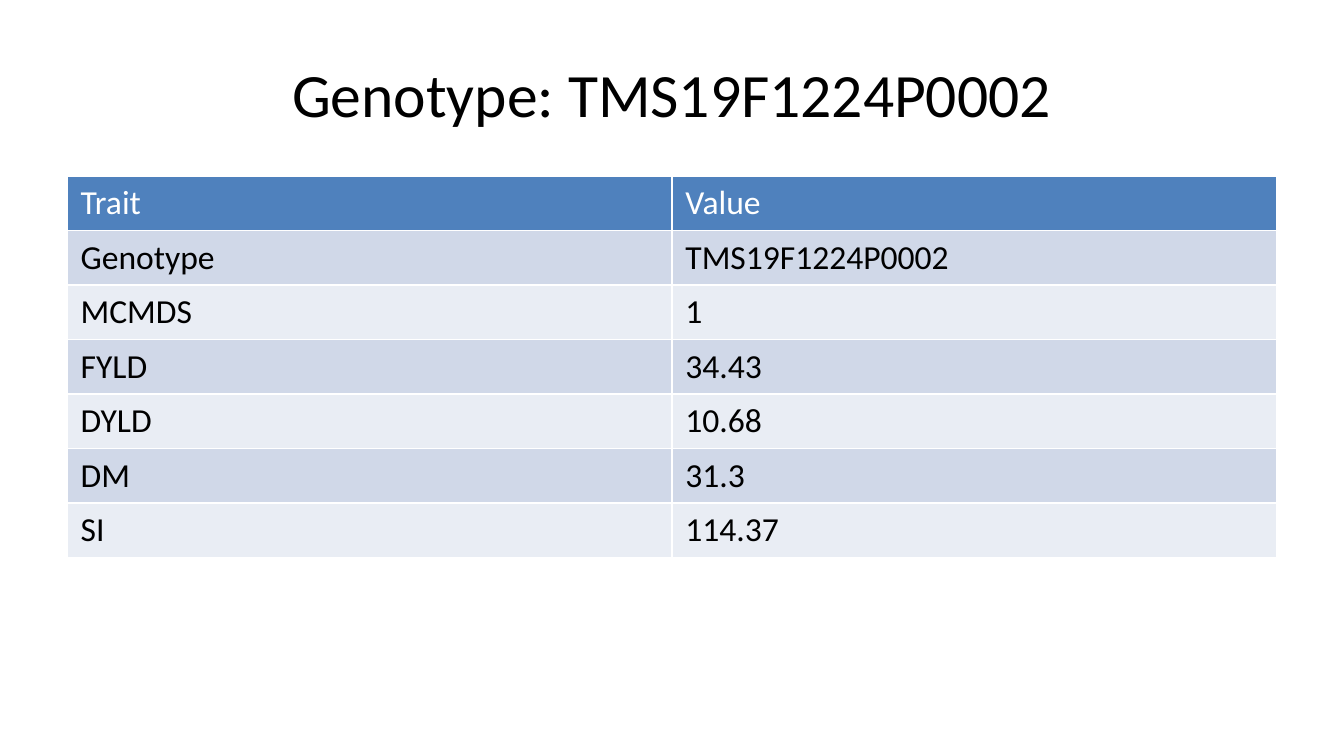
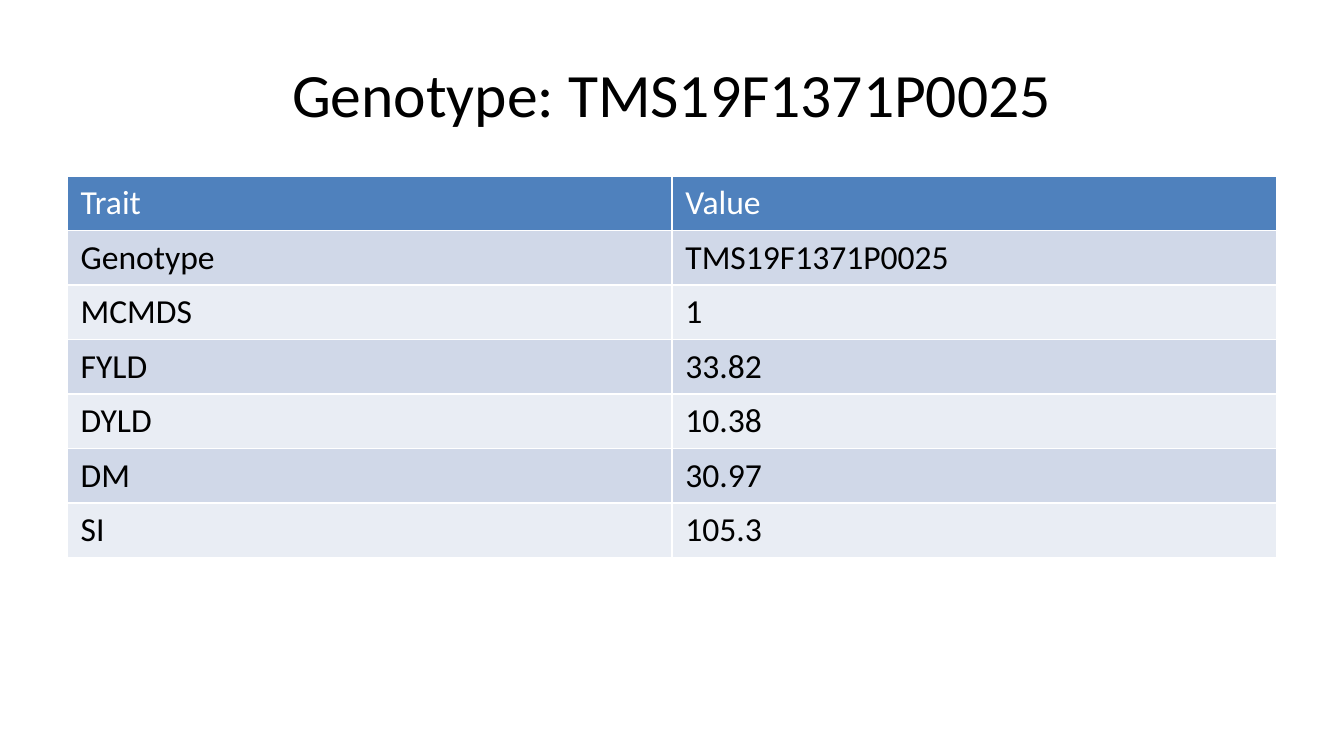
from pptx import Presentation
from pptx.dml.color import RGBColor
from pptx.enum.text import MSO_ANCHOR, PP_ALIGN
from pptx.util import Cm, Pt

# Content
HEADINGS = ("Trait", "Value")
TRAITS = ("MCMDS", "FYLD", "DYLD", "DM", "SI")
GENOTYPES = {
    "TMS19F1224P0002": ("1", "34.43", "10.68", "31.3", "114.37"),
    "TMS19F1371P0025": ("1", "33.82", "10.38", "30.97", "105.3"),
}

# Shared look
COLOURS = {
    "page": "FFFFFF",
    "ink": "000000",
    "header": "4F81BD",
    "header_ink": "FFFFFF",
    "odd_row": "D0D8E8",
    "even_row": "E9EDF4",
}
TITLE_FONT = {"name": "Calibri", "size": Pt(33), "bold": False}
CELL_FONT = {"name": "Calibri", "size": Pt(18), "bold": False}

# Layout
PAGE_WIDTH, PAGE_HEIGHT = Cm(25.4), Cm(14.29)
MARGIN = Cm(1.27)
CONTENT_WIDTH = PAGE_WIDTH - 2 * MARGIN
TITLE_TOP, TITLE_HEIGHT = Cm(0.57), Cm(2.38)
TABLE_TOP, ROW_HEIGHT = Cm(3.33), Cm(1.03)


def colour(key):
    return RGBColor.from_string(COLOURS[key])


def style_font(paragraph, font_format, ink):
    for attribute, value in font_format.items():
        setattr(paragraph.font, attribute, value)
    paragraph.font.color.rgb = colour(ink)


def add_title(slide, genotype):
    title = slide.shapes.add_textbox(MARGIN, TITLE_TOP, CONTENT_WIDTH, TITLE_HEIGHT)
    frame = title.text_frame
    frame.word_wrap = True
    frame.vertical_anchor = MSO_ANCHOR.MIDDLE
    heading = frame.paragraphs[0]
    heading.text = f"Genotype: {genotype}"
    heading.alignment = PP_ALIGN.CENTER
    style_font(heading, TITLE_FONT, "ink")


def add_trait_table(slide, genotype, values):
    rows = [HEADINGS, ("Genotype", genotype), *zip(TRAITS, values)]
    # The default table style supplies the white cell borders
    traits = slide.shapes.add_table(
        len(rows), len(HEADINGS), MARGIN, TABLE_TOP, CONTENT_WIDTH, ROW_HEIGHT * len(rows)
    ).table
    for row_number, row in enumerate(rows):
        if row_number == 0:
            fill, ink = "header", "header_ink"
        else:
            fill, ink = ("odd_row" if row_number % 2 else "even_row"), "ink"
        for column_number, entry in enumerate(row):
            cell = traits.cell(row_number, column_number)
            cell.text = entry
            cell.fill.solid()
            cell.fill.fore_color.rgb = colour(fill)
            style_font(cell.text_frame.paragraphs[0], CELL_FONT, ink)


def main():
    deck = Presentation()
    deck.slide_width, deck.slide_height = PAGE_WIDTH, PAGE_HEIGHT
    blank = deck.slide_layouts[6]
    # One slide per genotype
    for genotype, values in GENOTYPES.items():
        slide = deck.slides.add_slide(blank)
        slide.background.fill.solid()
        slide.background.fill.fore_color.rgb = colour("page")
        add_title(slide, genotype)
        add_trait_table(slide, genotype, values)
    deck.save("out.pptx")


if __name__ == "__main__":
    main()
